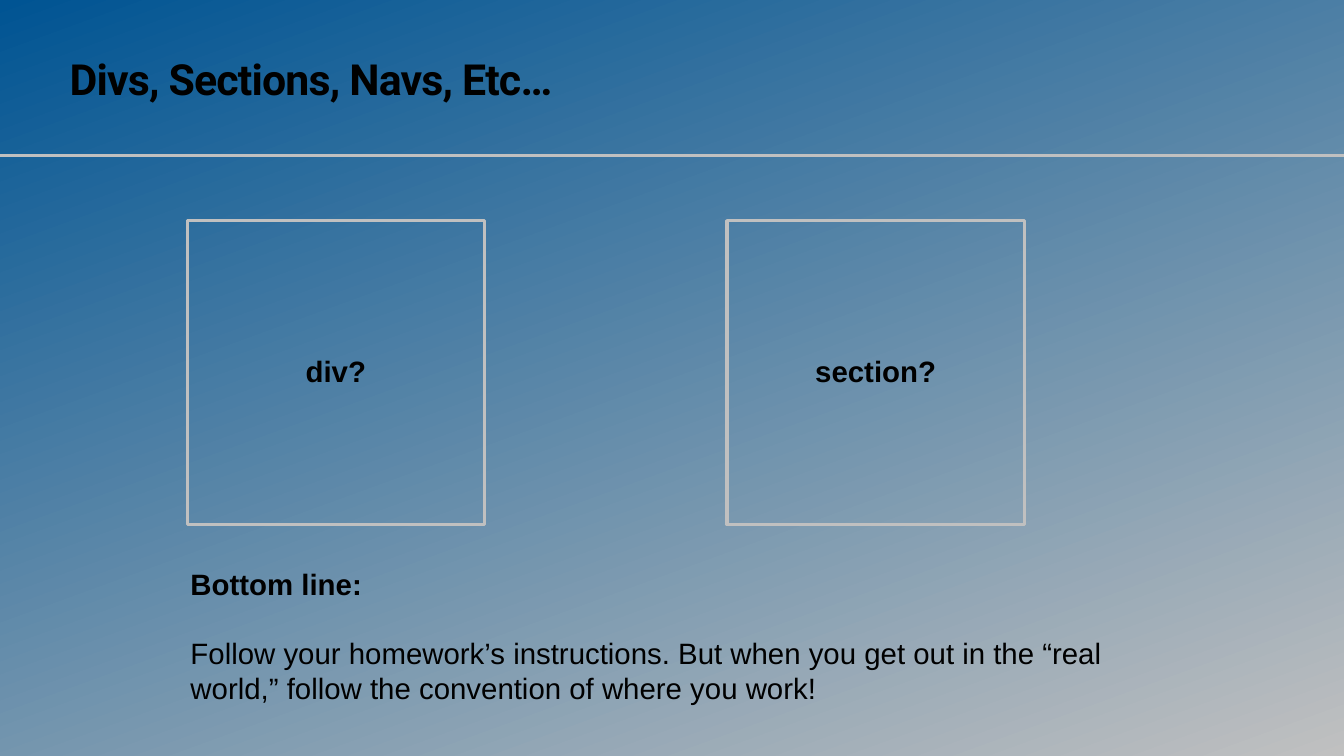
from dataclasses import dataclass

import pptx
import pptx.dml.color
import pptx.enum.shapes
import pptx.enum.text
import pptx.oxml
import pptx.oxml.ns
import pptx.util

ALIGN = pptx.enum.text.PP_ALIGN
ANCHOR = pptx.enum.text.MSO_ANCHOR
WIDTH, HEIGHT = pptx.util.Inches(26.67), pptx.util.Inches(15)


@dataclass(frozen=True)
class Theme:
    ink: str = "000000"
    blue: str = "005493"
    silver: str = "C0C0C0"
    heading_font: str = "Roboto"
    body_font: str = "Arial"
    heading_size: float = 61.2
    body_size: float = 42
    rule_width: float = 4
    frame_width: float = 5
    gradient_angle: float = 290
    inset: float = 0.06


@dataclass(frozen=True)
class Area:
    """A rectangle in percent of the slide's width and height."""
    left: float
    top: float
    width: float
    height: float

    def shifted(self, columns: float) -> "Area":
        return Area(self.left + columns, self.top, self.width, self.height)

    def lengths(self) -> tuple[int, int, int, int]:
        return (across(self.left), down(self.top),
                across(self.width), down(self.height))


@dataclass(frozen=True)
class Line:
    text: str
    bold: bool = True
    space_before: float = 0


@dataclass(frozen=True)
class Card:
    label: str
    column: int


THEME = Theme()
TITLE_AREA = Area(4.95, 7.87, 40.08, 10.47)
SUMMARY_AREA = Area(13.95, 74.93, 72.1, 18.33)
LABEL_AREA = Area(13.76, 28.6, 22.46, 40.8)
FRAME_AREA = Area(13.95, 29.2, 22.12, 40.2)
CARD_PITCH = 40.16
RULE_LEFT, RULE_RIGHT, RULE_TOP = -0.82, 102.1, 20.6

CARDS = [Card("div?", 0), Card("section?", 1)]
SUMMARY = [
    Line("Bottom line:"),
    Line("Follow your homework’s instructions. But when you get out in the "
         "“real world,” follow the convention of where you work!",
         bold=False, space_before=48.3),
]


def across(percent: float) -> int:
    return round(WIDTH * percent / 100)


def down(percent: float) -> int:
    return round(HEIGHT * percent / 100)


def color(value: str) -> pptx.dml.color.RGBColor:
    return pptx.dml.color.RGBColor.from_string(value)


def add_text(shapes, area: Area, lines: list[Line], font: str = THEME.body_font,
             size: float = THEME.body_size, anchor=ANCHOR.MIDDLE,
             align=ALIGN.LEFT):
    box = shapes.add_textbox(*area.lengths())
    frame = box.text_frame
    frame.word_wrap = True
    frame.vertical_anchor = anchor
    inset = pptx.util.Inches(THEME.inset)
    frame.margin_left = frame.margin_right = inset
    frame.margin_top = frame.margin_bottom = inset
    frame.text = "\n".join(line.text for line in lines)
    for para, line in zip(frame.paragraphs, lines):
        para.alignment = align
        para.space_before = pptx.util.Pt(line.space_before)
        for span in para.runs:
            span.font.name = font
            span.font.size = pptx.util.Pt(size)
            span.font.bold = line.bold
            span.font.color.rgb = color(THEME.ink)
    return box


def add_title(page, text: str) -> None:
    box = add_text(page.shapes, TITLE_AREA, [Line(text)], THEME.heading_font,
                   THEME.heading_size, ANCHOR.TOP)
    para = box.text_frame.paragraphs[0]
    para.line_spacing = 0.8
    # Tighter letter spacing, in hundredths of a point
    para.runs[0].font._element.set("spc", "-120")


def add_rule(page) -> None:
    rule = page.shapes.add_connector(
        pptx.enum.shapes.MSO_CONNECTOR.STRAIGHT,
        across(RULE_LEFT), down(RULE_TOP), across(RULE_RIGHT), down(RULE_TOP))
    rule.line.color.rgb = color(THEME.silver)
    rule.line.width = pptx.util.Pt(THEME.rule_width)
    rule._element.spPr.append(
        pptx.oxml.parse_xml(f"<a:effectLst {pptx.oxml.ns.nsdecls('a')}/>"))


def add_card(page, card: Card) -> None:
    shift = card.column * CARD_PITCH
    group = page.shapes.add_group_shape()
    add_text(group.shapes, LABEL_AREA.shifted(shift), [Line(card.label)],
             align=ALIGN.CENTER)
    square = group.shapes.add_shape(pptx.enum.shapes.MSO_SHAPE.RECTANGLE,
                                    *FRAME_AREA.shifted(shift).lengths())
    square.shadow.inherit = False
    square.fill.background()
    square.line.color.rgb = color(THEME.silver)
    square.line.width = pptx.util.Pt(THEME.frame_width)


def paint_background(page) -> None:
    fill = page.background.fill
    fill.gradient()
    fill.gradient_angle = THEME.gradient_angle
    for stop, value, position in zip(fill.gradient_stops,
                                     (THEME.blue, THEME.silver), (0, 1)):
        stop.color.rgb = color(value)
        stop.position = position


def main() -> None:
    deck = pptx.Presentation()
    deck.slide_width, deck.slide_height = WIDTH, HEIGHT
    page = deck.slides.add_slide(deck.slide_layouts[6])

    # Backdrop and header
    paint_background(page)
    add_rule(page)
    add_title(page, "Divs, Sections, Navs, Etc…")

    # Advice and the two choices
    add_text(page.shapes, SUMMARY_AREA, SUMMARY)
    for card in CARDS:
        add_card(page, card)

    deck.save("out.pptx")


if __name__ == "__main__":
    main()
